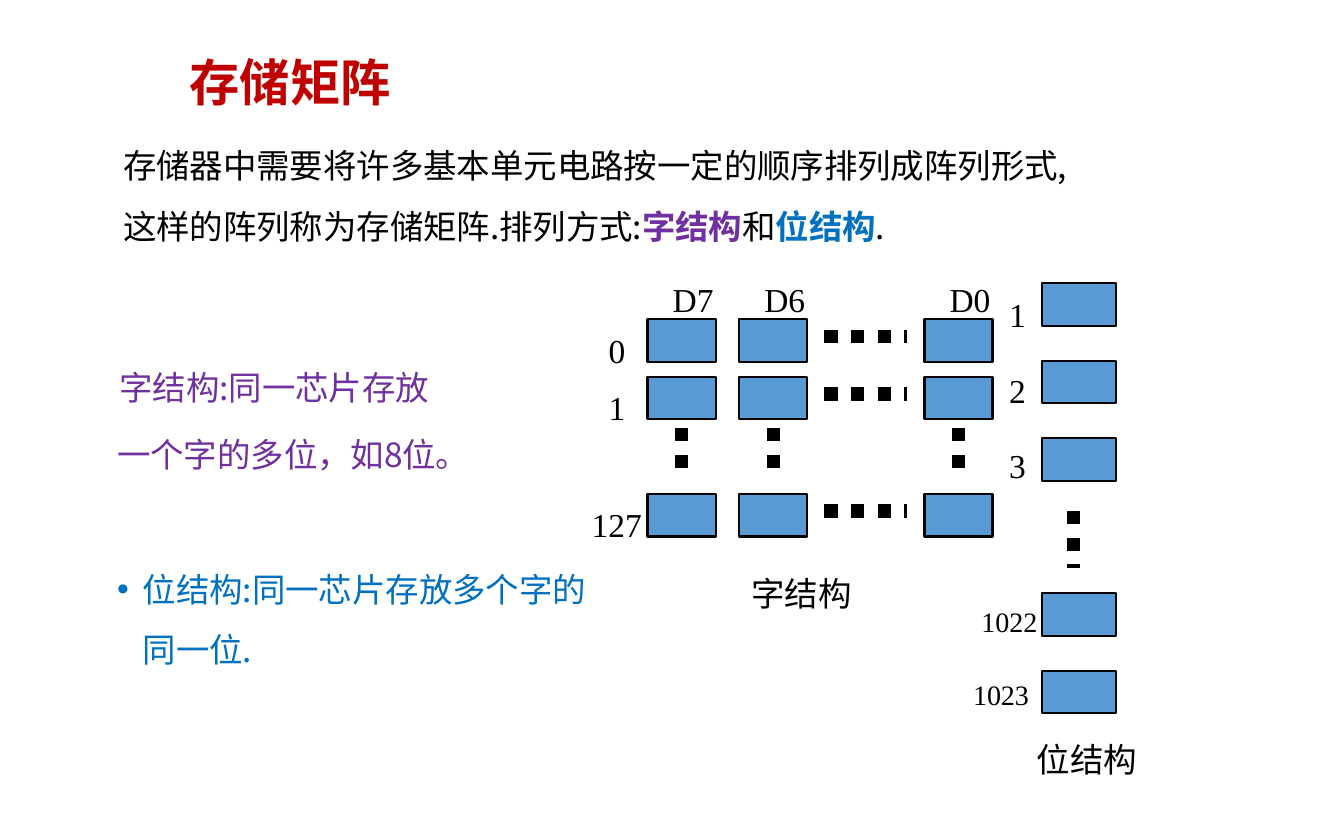
from dataclasses import dataclass

from lxml.etree import SubElement
from pptx import Presentation
from pptx.dml.color import RGBColor
from pptx.enum.dml import MSO_LINE
from pptx.enum.shapes import MSO_CONNECTOR, MSO_SHAPE
from pptx.enum.text import MSO_ANCHOR, MSO_AUTO_SIZE, PP_ALIGN
from pptx.oxml.ns import qn
from pptx.util import Inches, Pt


@dataclass(frozen=True)
class Theme:
    sans: str = "Noto Sans CJK SC"
    serif: str = "Times New Roman"
    black: str = "000000"
    red: str = "C00000"
    purple: str = "7030A0"
    blue: str = "0070C0"
    cell: str = "5B9BD5"
    title_size: float = 17
    text_size: float = 11.3
    small_size: float = 9.5
    outline: float = 0.75
    dots: float = 4.5


THEME = Theme()


def add_span(para, text, size=THEME.text_size, color=THEME.black, bold=False, font=THEME.sans):
    span = para.add_run()
    span.text = text
    span.font.size = Pt(size)
    span.font.bold = bold
    span.font.name = font
    span.font.color.rgb = RGBColor.from_string(color)
    SubElement(span.font._element, qn("a:ea"), typeface=THEME.sans)


def set_bullet(para, left, hanging, mark=None):
    properties = para._p.get_or_add_pPr()
    properties.set("marL", str(Inches(left)))
    properties.set("indent", str(Inches(-hanging)))
    if mark:
        SubElement(properties, qn("a:buFont"), typeface="Arial")
        SubElement(properties, qn("a:buChar"), char=mark)
    else:
        SubElement(properties, qn("a:buNone"))


class SlideBuilder:
    def __init__(self, page, theme):
        self.page = page
        self.theme = theme

    def place(self, box, left, top, width, height, anchor=MSO_ANCHOR.TOP):
        box.left, box.top, box.width, box.height = map(Inches, (left, top, width, height))
        frame = box.text_frame
        frame.word_wrap = True
        frame.auto_size = MSO_AUTO_SIZE.NONE
        frame.vertical_anchor = anchor
        return frame

    def title(self, text, *bounds):
        para = self.place(self.page.shapes.title, *bounds, anchor=MSO_ANCHOR.MIDDLE).paragraphs[0]
        para.alignment = PP_ALIGN.LEFT
        para.line_spacing = 0.9
        add_span(para, text, size=self.theme.title_size, color=self.theme.red, bold=True)

    def body(self, items, *bounds):
        frame = self.place(self.page.placeholders[1], *bounds)
        for index, (text, color, left, hanging, mark, before) in enumerate(items):
            para = frame.add_paragraph() if index else frame.paragraphs[0]
            para.level = 1
            para.line_spacing = 1.5
            para.space_before = Pt(before)
            set_bullet(para, left, hanging, mark)
            add_span(para, text, color=color)

    def text(self, spans, *bounds, spacing=1.0):
        """Add a text box from (text, format) pairs."""
        box = self.page.shapes.add_textbox(0, 0, 0, 0)
        para = self.place(box, *bounds).paragraphs[0]
        para.line_spacing = spacing
        for text, style in spans:
            add_span(para, text, **style)

    def label(self, text, left, top, width=0.75, size=THEME.text_size):
        self.text([(text, {"font": self.theme.serif, "size": size})], left, top, width, 0.29)

    def cell(self, left, top, width, height=0.2):
        shape = self.page.shapes.add_shape(
            MSO_SHAPE.RECTANGLE, *map(Inches, (left, top, width, height)))
        shape.shadow.inherit = False
        shape.fill.solid()
        shape.fill.fore_color.rgb = RGBColor.from_string(self.theme.cell)
        shape.line.color.rgb = RGBColor.from_string(self.theme.black)
        shape.line.width = Pt(self.theme.outline)

    def dots(self, *ends):
        line = self.page.shapes.add_connector(MSO_CONNECTOR.STRAIGHT, *map(Inches, ends))
        line.line.color.rgb = RGBColor.from_string(self.theme.black)
        line.line.width = Pt(self.theme.dots)
        line.line.dash_style = MSO_LINE.ROUND_DOT
        SubElement(line._element.spPr, qn("a:effectLst"))


def draw_word_structure(builder):
    columns = {"D7": 3.04, "D6": 3.47, "D0": 4.34}
    rows = [("0", 2.76, 1.5), ("1", 2.76, 1.77), ("127", 2.68, 2.32)]
    for name, left in columns.items():
        builder.label(name, left + 0.02, 1.26, width=0.45)
        builder.dots(left + 0.16, 2.01, left + 0.16, 2.24)
    for name, label_left, top in rows:
        for left in columns.values():
            builder.cell(left, top, 0.32)
        builder.dots(3.87, top + 0.08, 4.26, top + 0.08)
        builder.label(name, label_left, top, width=0.47)
    builder.label("字结构", 3.43, 2.64, width=0.99)


def draw_bit_structure(builder):
    small = builder.theme.small_size
    normal = builder.theme.text_size
    first, pitch = 1.33, 0.364
    slots = [(0, "1", 4.64, 1.33, normal), (1, "2", 4.64, 1.69, normal),
             (2, "3", 4.64, 2.04, normal), (4, "1022", 4.51, 2.79, small),
             (5, "1023", 4.47, 3.13, small)]
    for slot, name, left, top, size in slots:
        builder.cell(4.89, first + slot * pitch, 0.35)
        builder.label(name, left, top, width=0.67, size=size)
    builder.dots(5.04, 2.4, 5.04, 2.67)
    builder.label("位结构", 4.77, 3.42)


def main():
    deck = Presentation()
    deck.slide_width, deck.slide_height = Inches(6.31), Inches(3.94)
    page = deck.slides.add_slide(deck.slide_layouts[1])
    builder = SlideBuilder(page, THEME)
    builder.title("存储矩阵", 0.79, 0.2, 4.02, 0.4)
    builder.body([
        ("字结构:同一芯片存放", THEME.purple, 0.24, 0, None, 2.4),
        ("一个字的多位，如8位。", THEME.purple, 0.35, 0.12, None, 2.4),
        ("位结构:同一芯片存放多个字的同一位.", THEME.blue, 0.35, 0.12, "•", 25),
    ], 0.22, 1.58, 2.64, 1.81)
    builder.text([
        ("存储器中需要将许多基本单元电路按一定的顺序排列成阵列形式,"
         "这样的阵列称为存储矩阵.排列方式:", {}),
        ("字结构", {"color": THEME.purple, "bold": True}),
        ("和", {}),
        ("位结构", {"color": THEME.blue, "bold": True}),
        (".", {}),
    ], 0.48, 0.54, 4.73, 0.64, spacing=1.5)
    draw_bit_structure(builder)
    draw_word_structure(builder)
    deck.save("out.pptx")


if __name__ == "__main__":
    main()
